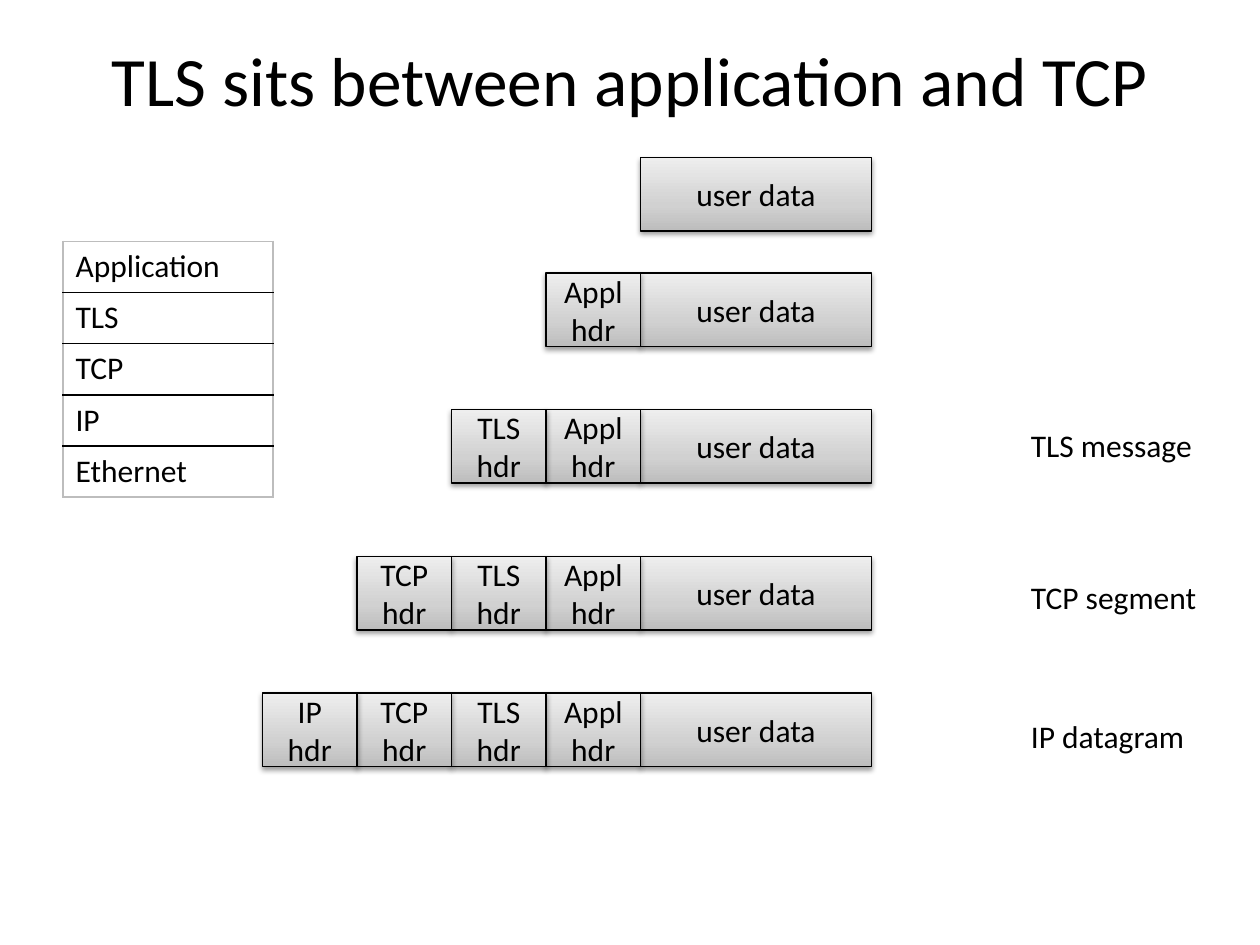
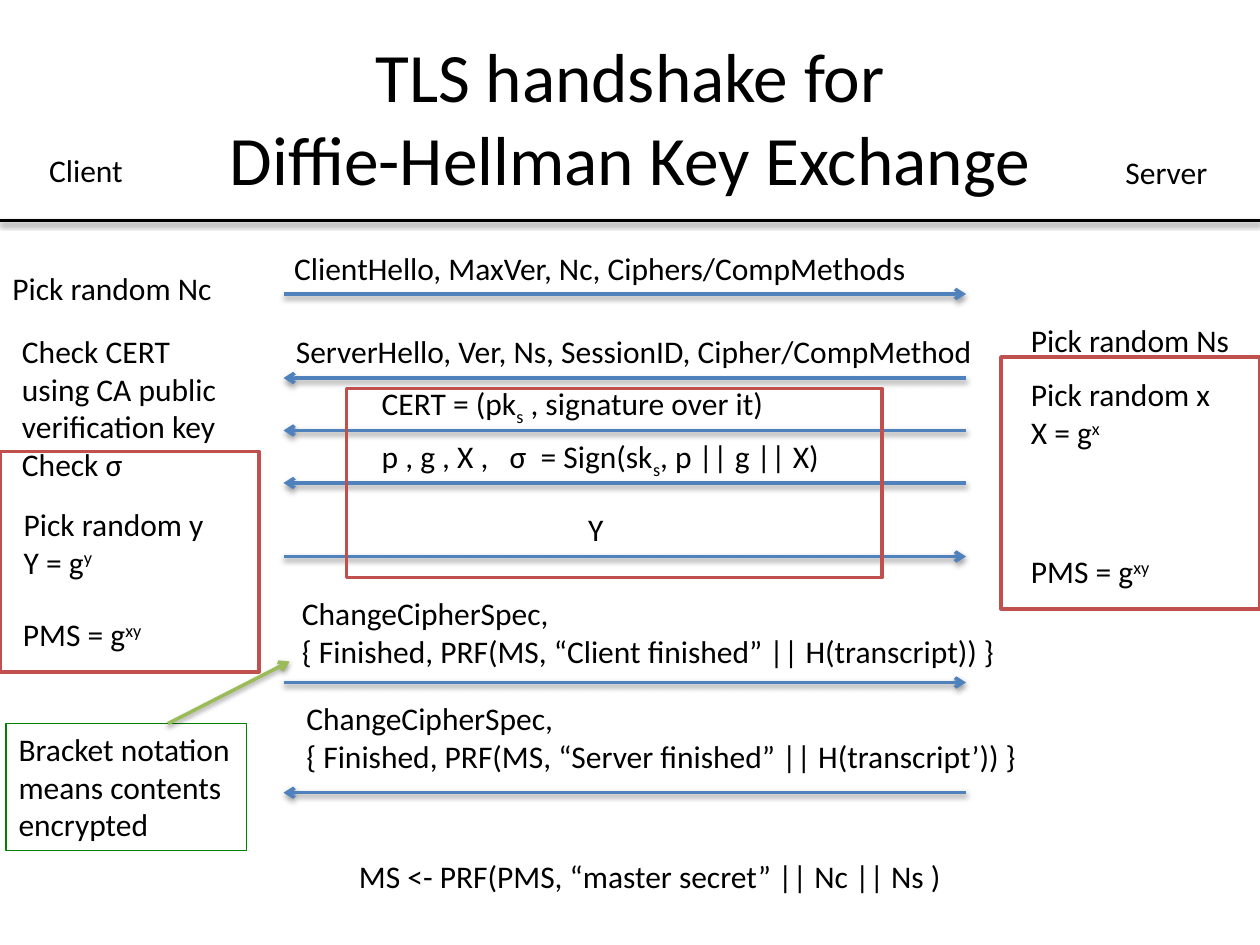
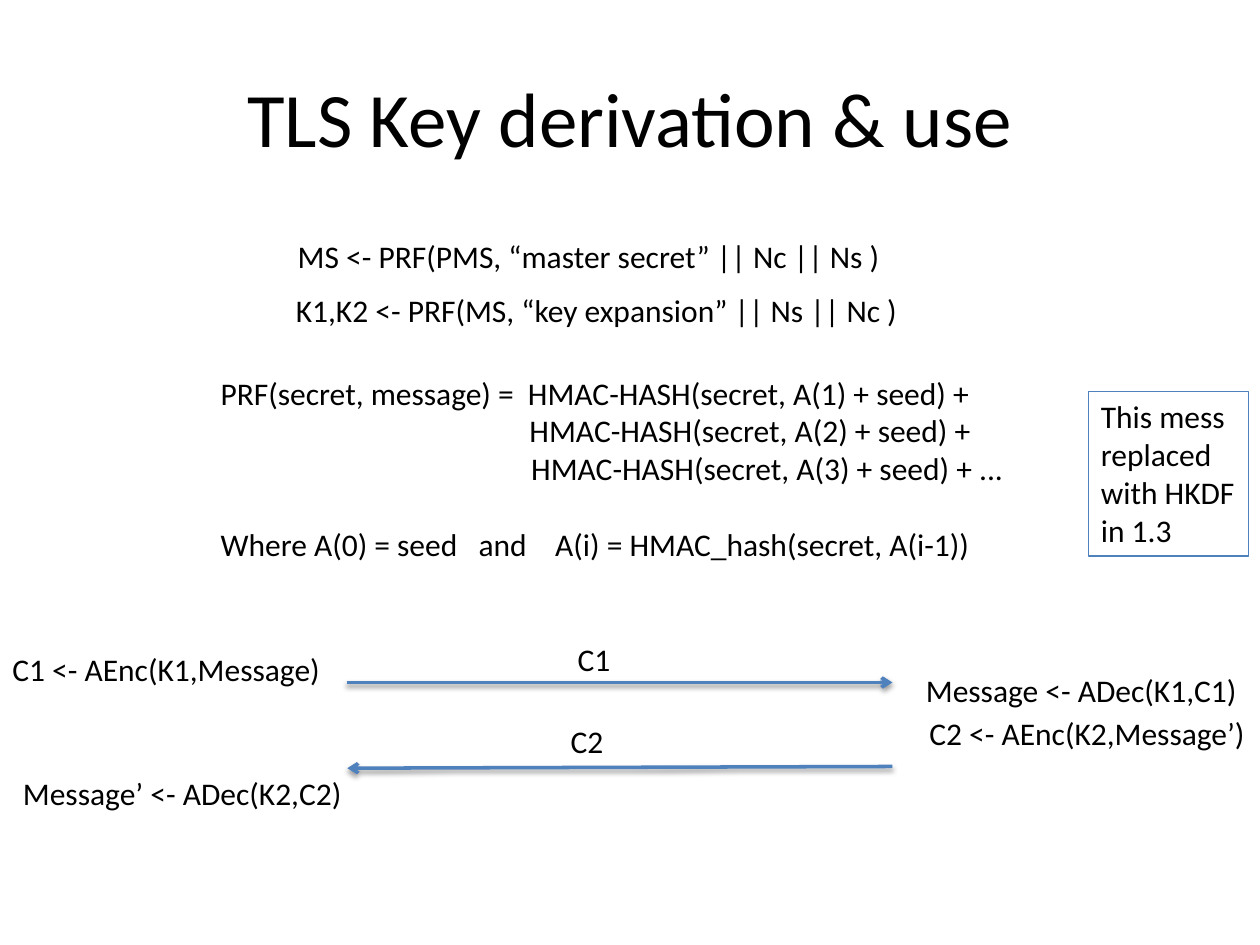
from copy import deepcopy

from lxml import etree
from pptx import Presentation
from pptx import util as u
from pptx.dml.color import RGBColor
from pptx.enum import shapes, text
from pptx.oxml.ns import qn

COLORS = {
    "ink": "000000",
    "arrow": "4F81BD",
    "callout": "9BBB59",
    "key": "C0504D",
    "note": "008000",
    "gray_dark": "BDBDBD",
    "gray_mid": "D1D1D1",
    "gray_light": "EEEEEE",
}
FONT = "Calibri"
BODY_SIZE = 18
INSET = 7.2
LINE_HEIGHT = 21.75
SUPER, SUB = 30, -25
LINE_BREAK = "\n"
MASTER_SECRET = "MS <- PRF(PMS, “master secret” || Nc || Ns )"
PMS = ["PMS = g", ("xy", SUPER)]


def rgb(name):
    """Return the named colour."""
    return RGBColor.from_string(COLORS[name])


def points(*lengths):
    """Convert numbers of points to lengths."""
    return [u.Pt(length) for length in lengths]


def add_element(parent, tag, **attributes):
    """Append a DrawingML element with the given attributes."""
    values = {key: str(value) for key, value in attributes.items()}
    return etree.SubElement(parent, qn(tag), values)


def write(frame, lines, size=BODY_SIZE, align=text.PP_ALIGN.LEFT, indents=(), gaps=()):
    """Write lines, each a string or a list of plain and (text, baseline) pieces."""
    for index, line in enumerate(lines):
        paragraph = frame.paragraphs[0] if index == 0 else frame.add_paragraph()
        paragraph.alignment = align
        if index < len(indents):
            paragraph._p.get_or_add_pPr().set("marL", str(u.Pt(indents[index])))
        if index < len(gaps):
            paragraph.space_before = u.Pt(gaps[index])
        for piece in [line] if isinstance(line, str) else line:
            if piece == LINE_BREAK:
                paragraph.add_line_break()
                continue
            content, baseline = (piece, 0) if isinstance(piece, str) else piece
            run = paragraph.add_run()
            run.text = content
            run.font.name = FONT
            run.font.size = u.Pt(size)
            run.font.color.rgb = rgb("ink")
            if baseline:
                run._r.get_or_add_rPr().set("baseline", str(baseline * 1000))


def add_shadow(shape):
    """Give a shape or connector the soft shadow below it."""
    effects = add_element(shape._element.spPr, "a:effectLst")
    shadow = add_element(effects, "a:outerShdw", blurRad=u.Pt(3.1), dist=u.Pt(1.6),
                         dir=90 * 60000, rotWithShape=0)
    color = add_element(shadow, "a:srgbClr", val=COLORS["ink"])
    add_element(color, "a:alpha", val=38000)


def add_titled_slide(presentation, title, top=21.6, size=39.6):
    """Add a title-only slide and format its title."""
    slide = presentation.slides.add_slide(presentation.slide_layouts[5])
    shape = slide.shapes.title
    shape.left, shape.top, shape.width, shape.height = points(36, top, 648, 90)
    shape.text_frame.vertical_anchor = text.MSO_ANCHOR.MIDDLE
    write(shape.text_frame, [title], size=size, align=text.PP_ALIGN.CENTER)
    return slide


def add_label(slide, left, top, width, *lines, border=None, height=None, wrap=False, **style):
    """Add a text box as high as its lines, with an optional border."""
    height = height or INSET + LINE_HEIGHT * len(lines)
    box = slide.shapes.add_textbox(*points(left, top, width, height))
    box.text_frame.word_wrap = wrap
    box.text_frame.auto_size = text.MSO_AUTO_SIZE.SHAPE_TO_FIT_TEXT
    if border:
        box.line.color.rgb = rgb(border)
        box.line.width = u.Pt(0.75)
    write(box.text_frame, lines, **style)


def add_line(slide, start, end, color="arrow", head=True):
    """Draw a shadowed line, with an arrowhead at its end if wanted."""
    line = slide.shapes.add_connector(shapes.MSO_CONNECTOR.STRAIGHT, *points(*start, *end))
    line.line.color.rgb = rgb(color)
    line.line.width = u.Pt(2)
    if head:
        add_element(line._element.spPr.find(qn("a:ln")), "a:tailEnd", type="arrow")
    add_shadow(line)


def add_frame(slide, left, top, width, height):
    """Outline the key exchange steps."""
    frame = slide.shapes.add_shape(shapes.MSO_SHAPE.RECTANGLE, *points(left, top, width, height))
    frame.shadow.inherit = False
    frame.fill.background()
    frame.line.color.rgb = rgb("key")
    frame.line.width = u.Pt(2)


def add_field(slide, left, top, width, height, name):
    """Add one gray gradient field of a packet."""
    field = slide.shapes.add_shape(shapes.MSO_SHAPE.RECTANGLE, *points(left, top, width, height))
    field.fill.gradient()
    field.fill.gradient_angle = 90
    stops = field._element.spPr.find(".//" + qn("a:gsLst"))
    stops.insert(1, deepcopy(stops[0]))
    grays = ("gray_dark", 0), ("gray_mid", 0.35), ("gray_light", 1)
    for stop, (color, position) in zip(field.fill.gradient_stops, grays):
        stop.color.rgb = rgb(color)
        stop.position = position
    field.line.color.rgb = rgb("ink")
    field.line.width = u.Pt(0.75)
    add_shadow(field)
    field.text_frame.vertical_anchor = text.MSO_ANCHOR.MIDDLE
    write(field.text_frame, [name], align=text.PP_ALIGN.CENTER)


def add_packets(slide, left, top, header_width=54, data_width=132, height=42):
    """Stack packets that gain one header to the left at each layer."""
    headers = ["Appl hdr", "TLS hdr", "TCP hdr", "IP hdr"]
    data_left = left + header_width * len(headers)
    for count, offset in enumerate([0, 66, 144, 228, 306]):
        add_field(slide, data_left, top + offset, data_width, height, "user data")
        for index, header in enumerate(headers[:count], start=1):
            add_field(slide, data_left - index * header_width, top + offset,
                      header_width, height, header)


def add_layer_table(slide, left, top, width, row_height):
    """Add the table of protocol layers, black between rows and gray around."""
    layers = ["Application", "TLS", "TCP", "IP", "Ethernet"]
    size = points(left, top, width, row_height * len(layers))
    table = slide.shapes.add_table(len(layers), 1, *size).table
    table.first_row = table.horz_banding = False
    for row, layer in zip(table.rows, layers):
        row.height = u.Pt(row_height)
        cell = row.cells[0]
        write(cell.text_frame, [layer])
        outer = {"L", "R"}
        if layer == layers[0]:
            outer.add("T")
        if layer == layers[-1]:
            outer.add("B")
        properties = cell._tc.get_or_add_tcPr()
        for side in "LRTB":
            color = COLORS["gray_dark" if side in outer else "ink"]
            border = add_element(properties, f"a:ln{side}", w=u.Pt(1))
            add_element(add_element(border, "a:solidFill"), "a:srgbClr", val=color)
        cell.fill.background()


def add_exchange(slide, left, top, width):
    """Draw the handshake messages with their arrows."""
    messages = [
        (-1, 0, 375, 29, True, ["ClientHello, MaxVer, Nc, Ciphers/CompMethods"]),
        (0, 47, 410, 77, False, ["ServerHello, Ver, Ns, SessionID, Cipher/CompMethod"]),
        (49, 77, 236, 107, False, [["CERT = (pk", ("s", SUB), " , signature over it)"]]),
        (49, 107, 267, 137, False,
         [["p , g , X ,   σ  = Sign(sk", ("s", SUB), ", p || g || X)"]]),
        (167, 149, 24, 179, True, ["Y"]),
        (3.5, 197, 415.5, 251, True,
         ["ChangeCipherSpec,", "{ Finished, PRF(MS, “Client finished” || H(transcript)) }"]),
        (6, 257, 420.5, 314, False,
         ["ChangeCipherSpec,", "{ Finished, PRF(MS, “Server finished” || H(transcript’)) }"]),
    ]
    for text_left, text_top, text_width, arrow_top, to_server, lines in messages:
        ends = [(left, top + arrow_top), (left + width, top + arrow_top)]
        add_line(slide, *(ends if to_server else reversed(ends)))
        add_label(slide, left + text_left, top + text_top, text_width, *lines)


def add_client(slide, left, top):
    """Place the client's steps down the left side."""
    add_label(slide, left + 21, top, 57.5, "Client")
    add_label(slide, left, top + 67, 129.5, "Pick random Nc")
    add_label(slide, left + 5.5, top + 103, 127.5,
              "Check CERT", "using CA public", "verification key", "Check σ")
    add_label(slide, left + 6.5, top + 202, 122.5, "Pick random y", ["Y = g", ("y", SUPER)])
    add_label(slide, left + 6, top + 265, 85, PMS)
    add_label(slide, left + 3.5, top + 330.5, 137.5,
              "Bracket notation", "means contents", "encrypted", border="note")
    add_line(slide, (left + 96, top + 330.5), (left + 165.5, top + 295), color="callout")


def add_server(slide, left, top):
    """Place the server's steps down the right side."""
    add_label(slide, left + 54, top, 62, "Server")
    add_label(slide, left, top + 96, 129.5, "Pick random Ns")
    add_label(slide, left, top + 127, 119, "Pick random x", ["X = g", ("x", SUPER)])
    add_label(slide, left, top + 228, 85, PMS)


def add_derivation(slide, left, top):
    """Place the key derivation formulas and the remark on them."""
    add_label(slide, left + 44, top, 350.5, MASTER_SECRET)
    add_label(slide, left + 43, top + 31, 363, "K1,K2 <- PRF(MS, “key expansion” || Ns || Nc )")
    add_label(slide, left, top + 78, 467.5,
              "PRF(secret, message) =  HMAC-HASH(secret, A(1) + seed) +",
              "HMAC-HASH(secret, A(2) + seed) +",
              "HMAC-HASH(secret, A(3) + seed) + ...",
              "Where A(0) = seed   and    A(i) = HMAC_hash(secret, A(i-1))",
              height=INSET + 5 * LINE_HEIGHT, wrap=True,
              indents=(0, 176.5, 177.5), gaps=(0, 0, 0, LINE_HEIGHT))
    add_label(slide, left + 503, top + 91.5, 91.5,
              "This mess", "replaced", "with HKDF", "in 1.3", border="arrow")


def add_key_use(slide, left, top):
    """Show how each side encrypts and decrypts with the keys."""
    add_line(slide, (left + 198, top + 28), (left + 510, top + 28))
    add_line(slide, (left + 510, top + 76), (left + 198.5, top + 77))
    add_label(slide, left + 323, top, 33, "C1")
    add_label(slide, left + 319, top + 47, 33, "C2")
    add_label(slide, left, top + 6, 192, "C1 <- AEnc(K1,Message)")
    add_label(slide, left + 6, top + 77, 198.5, "Message’ <- ADec(K2,C2)")
    add_label(slide, left + 522, top + 18, 193.5, "Message <- ADec(K1,C1)")
    add_label(slide, left + 524, top + 42.5, 196.5, "C2 <- AEnc(K2,Message’)")


def build_layers_slide(presentation):
    """Build the slide on where TLS sits."""
    slide = add_titled_slide(presentation, "TLS sits between application and TCP", top=0)
    add_layer_table(slide, 36, 138, 120, 29.2)
    add_packets(slide, 150, 90)
    for top, width, name in [(240, 107.5, "TLS message"), (327, 110, "TCP segment"),
                             (406, 103.5, "IP datagram")]:
        add_label(slide, 582, top, width, name)


def build_handshake_slide(presentation):
    """Build the slide on the handshake."""
    title = ["TLS handshake for", LINE_BREAK, "Diffie-Hellman Key Exchange"]
    slide = add_titled_slide(presentation, title)
    add_line(slide, (0, 126), (720, 126), color="ink", head=False)
    add_exchange(slide, 162, 139, 390)
    add_client(slide, 0, 83)
    add_server(slide, 582, 84)
    add_label(slide, 198, 486, 350.5, MASTER_SECRET)
    for box in [(198, 222, 306, 108), (572, 204, 148, 144), (0, 258, 148, 126)]:
        add_frame(slide, *box)


def build_keys_slide(presentation):
    """Build the slide on key derivation and use."""
    slide = add_titled_slide(presentation, "TLS Key derivation & use", size=44)
    add_derivation(slide, 119, 132)
    add_key_use(slide, 0, 362)


def main():
    """Build and save the presentation."""
    presentation = Presentation()
    presentation.slide_width, presentation.slide_height = points(720, 540)
    build_layers_slide(presentation)
    build_handshake_slide(presentation)
    build_keys_slide(presentation)
    presentation.save("out.pptx")


if __name__ == "__main__":
    main()
